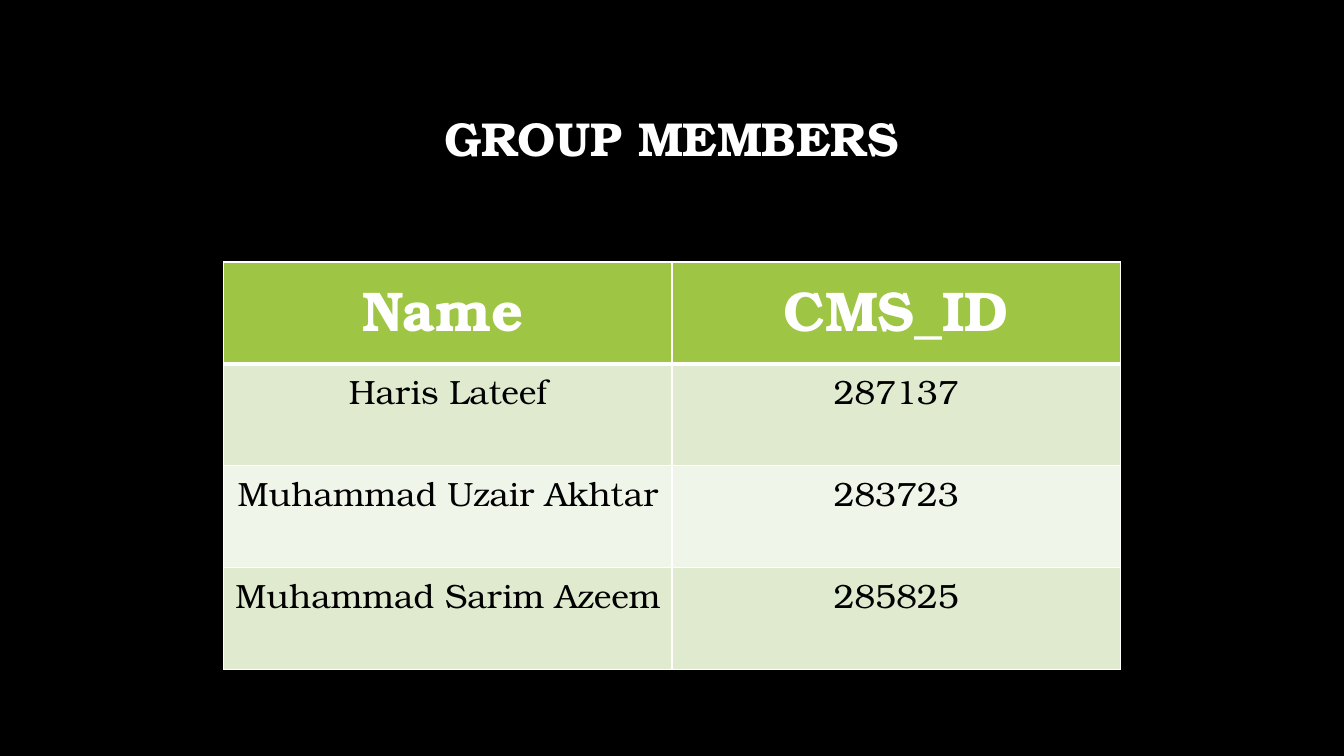
from dataclasses import dataclass

from lxml import etree
from pptx import Presentation
from pptx.dml.color import RGBColor
from pptx.enum.text import MSO_ANCHOR, PP_ALIGN
from pptx.oxml.ns import qn
from pptx.util import Inches, Pt

CENTER = PP_ALIGN.CENTER
TOP = MSO_ANCHOR.TOP
MIDDLE = MSO_ANCHOR.MIDDLE


@dataclass(frozen=True)
class Theme:
    font: str = "TeX Gyre Bonum"
    background: str = "000000"
    light: str = "FFFFFF"
    dark: str = "000000"
    header: str = "9EC544"
    bands: tuple = ("DFEACF", "F0F5E9")
    title_size: int = 34
    header_size: int = 40
    body_size: int = 24
    thin: int = 1
    thick: int = 3


THEME = Theme()

MEMBERS = [
    ("Name", "CMS_ID"),
    ("Haris Lateef", "287137"),
    ("Muhammad Uzair Akhtar", "283723"),
    ("Muhammad Sarim Azeem", "285825"),
]


def write_text(frame, text, *, size, color, bold=False, line_spacing=None):
    para = frame.paragraphs[0]
    para.alignment = CENTER
    if line_spacing:
        para.line_spacing = line_spacing
    span = para.add_run()
    span.text = text
    span.font.name = THEME.font
    span.font.size = Pt(size)
    span.font.bold = bold
    span.font.color.rgb = RGBColor.from_string(color)


def add_title(page, text):
    box = page.shapes.add_textbox(Inches(1), Inches(0.67), Inches(11.32), Inches(1.45))
    box.text_frame.word_wrap = True
    box.text_frame.vertical_anchor = MIDDLE
    write_text(box.text_frame, text, size=THEME.title_size, color=THEME.light,
               bold=True, line_spacing=0.9)


def set_borders(cell, **widths):
    """Draw cell edges; the keywords are the edge tags lnL, lnR, lnT and lnB."""
    properties = cell._tc.get_or_add_tcPr()
    for position, (edge, width) in enumerate(widths.items()):
        line = etree.Element(qn(f"a:{edge}"), w=str(Pt(width)))
        fill = etree.SubElement(line, qn("a:solidFill"))
        etree.SubElement(fill, qn("a:srgbClr"), val=THEME.light)
        properties.insert(position, line)


def add_member_table(page, rows):
    column_width, row_height = Inches(4.445), Inches(1.01)
    table = page.shapes.add_table(
        len(rows), len(rows[0]), Inches(2.22), Inches(2.6),
        column_width * len(rows[0]), row_height * len(rows)).table

    for row_index, values in enumerate(rows):
        table.rows[row_index].height = row_height
        is_header = row_index == 0
        fill = THEME.header if is_header else THEME.bands[(row_index - 1) % 2]
        for column_index, value in enumerate(values):
            cell = table.cell(row_index, column_index)
            cell.vertical_anchor = TOP
            cell.fill.solid()
            cell.fill.fore_color.rgb = RGBColor.from_string(fill)
            write_text(cell.text_frame, value, bold=is_header,
                       size=THEME.header_size if is_header else THEME.body_size,
                       color=THEME.light if is_header else THEME.dark)
            set_borders(cell, lnL=THEME.thin, lnR=THEME.thin,
                        lnT=THEME.thick if row_index == 1 else THEME.thin,
                        lnB=THEME.thick if is_header else THEME.thin)

    # The first heading sits slightly left of its column's centre
    table.cell(0, 0).margin_right = Inches(0.2)


def main():
    deck = Presentation()
    deck.slide_width, deck.slide_height = Inches(13.33), Inches(7.5)
    page = deck.slides.add_slide(deck.slide_layouts[6])

    # Background
    page.background.fill.solid()
    page.background.fill.fore_color.rgb = RGBColor.from_string(THEME.background)

    # Content
    add_title(page, "GROUP MEMBERS")
    add_member_table(page, MEMBERS)
    deck.save("out.pptx")


if __name__ == "__main__":
    main()
